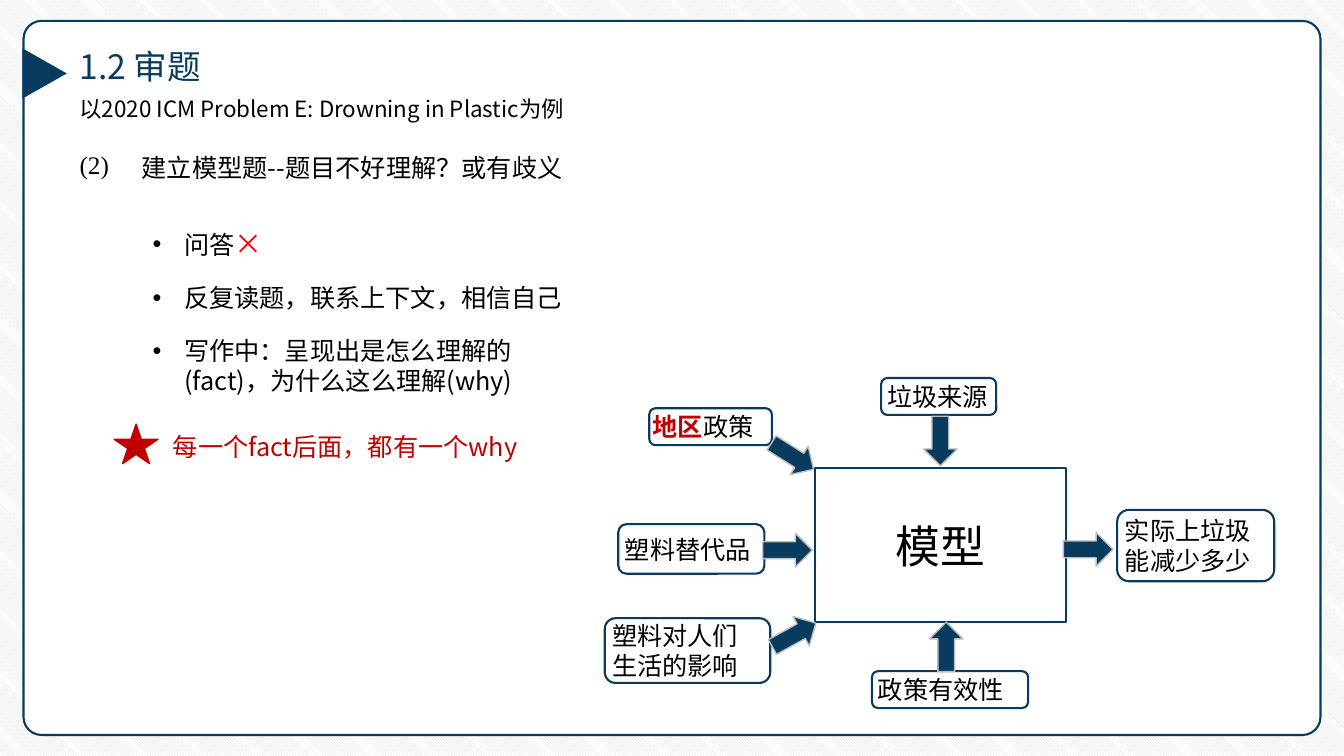
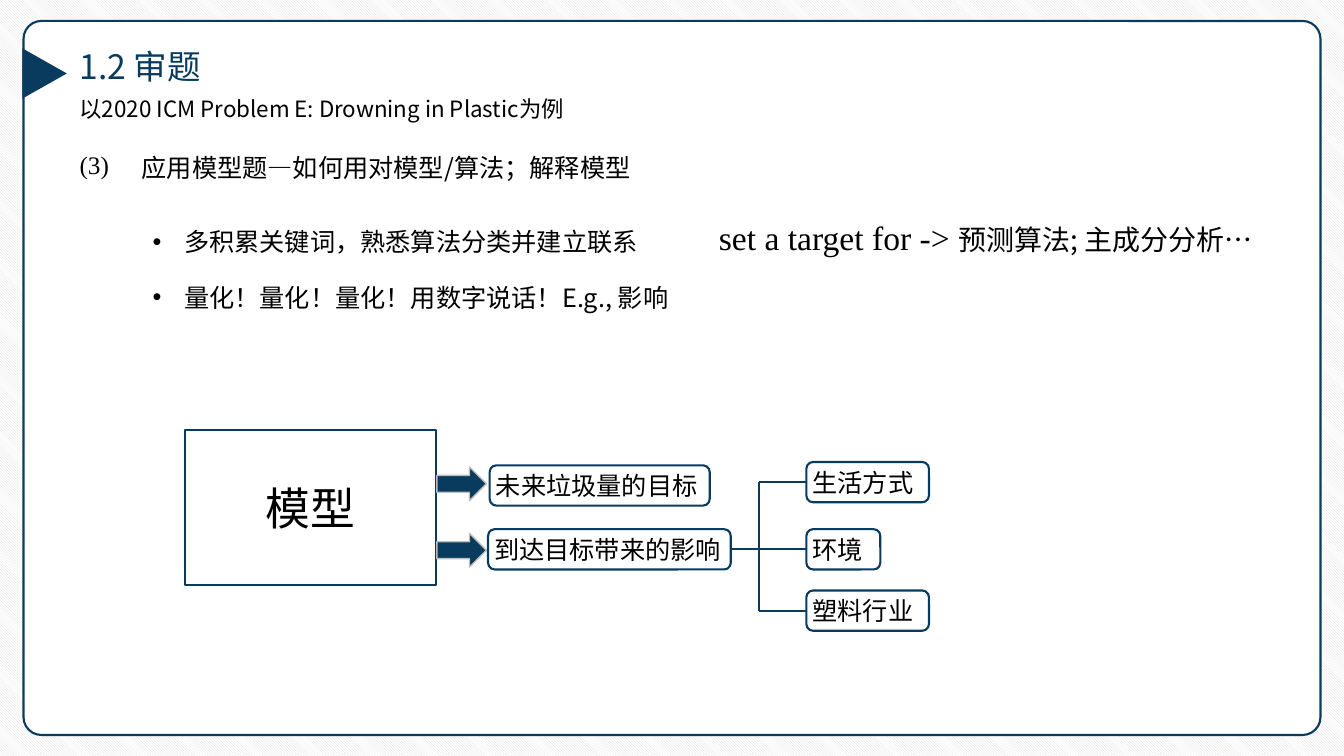
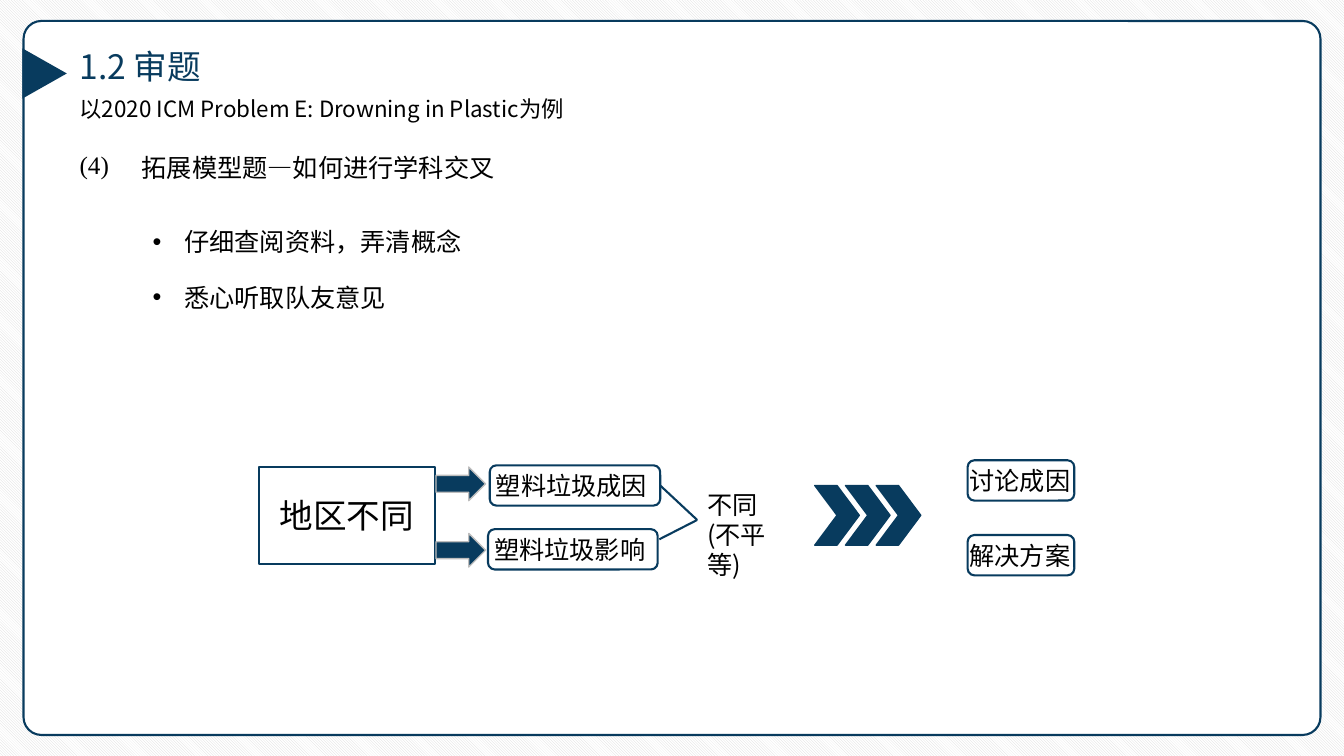
from dataclasses import dataclass
from typing import Any

from lxml.etree import SubElement
from pptx import Presentation
from pptx.dml.color import RGBColor
from pptx.enum.dml import MSO_PATTERN
from pptx.enum.shapes import MSO_CONNECTOR, MSO_SHAPE
from pptx.enum.text import MSO_ANCHOR, MSO_AUTO_SIZE, PP_ALIGN
from pptx.oxml.ns import qn
from pptx.util import Emu, Pt

CELL = 76200
COLUMNS, ROWS = 160, 90
COLORS = {
    "navy": "083B5E",
    "black": "000000",
    "white": "FFFFFF",
    "hatch": "D9D9D9",
    "edge": "BDBDBD",
    "accent": "C00000",
    "cross": "FF0000",
}
SANS, SERIF = "Noto Sans CJK SC", "Times New Roman"
ARROW_WIDTH, ARROW_HEIGHT = 5.9, 4
LABEL_HEIGHT = 4.8
TITLE = "1.2 审题"
SUBTITLE = "以2020 ICM Problem E: Drowning in Plastic为例"


def rgb(name):
    """Return the named colour."""
    return RGBColor.from_string(COLORS[name])


def cells(count):
    """Convert grid cells to a length."""
    return Emu(round(count * CELL))


def set_font(font, size=18, color="black", face=SANS, bold=None):
    """Set a font for Latin and East Asian text alike."""
    font.size, font.name, font.bold = Pt(size), face, bold
    font.color.rgb = rgb(color)
    SubElement(font._element, qn("a:ea"), typeface=face)


def set_bullet(paragraph):
    """Give a paragraph a hanging round bullet."""
    properties = paragraph._p.get_or_add_pPr()
    properties.set("marL", "285750")
    properties.set("indent", "-285750")
    SubElement(properties, qn("a:buFont"), typeface="Arial")
    SubElement(properties, qn("a:buChar"), char="•")


def write(frame, paragraphs, bullets=False, gap=0, spacing=None, align=PP_ALIGN.LEFT, **style):
    """Fill a frame; a paragraph is a string or a list of (text, style) runs."""
    frame.word_wrap = True
    for index, content in enumerate(paragraphs):
        paragraph = frame.paragraphs[0] if index == 0 else frame.add_paragraph()
        paragraph.alignment = align
        if spacing:
            paragraph.line_spacing = spacing
        if gap and index < len(paragraphs) - 1:
            paragraph.space_after = Pt(gap)
        if bullets:
            set_bullet(paragraph)
        if isinstance(content, str):
            paragraph.add_run().text = content
            set_font(paragraph.font, **style)
            continue
        for text, run_style in content:
            run = paragraph.add_run()
            run.text = text
            set_font(run.font, **{**style, **run_style})


@dataclass
class Region:
    """A part of a slide whose contents are placed in cells from its corner."""

    shapes: Any
    left: float = 0
    top: float = 0

    def place(self, x, y):
        """Return the slide position of a point in the region."""
        return cells(self.left + x), cells(self.top + y)

    def shape(self, preset, x, y, width, height, fill=None, line=None, weight=1.5, turn=0):
        """Add a preset shape."""
        shape = self.shapes.add_shape(preset, *self.place(x, y), cells(width), cells(height))
        shape.shadow.inherit = False
        shape.rotation = turn
        if fill:
            shape.fill.solid()
            shape.fill.fore_color.rgb = rgb(fill)
        else:
            shape.fill.background()
        if line:
            shape.line.color.rgb = rgb(line)
            shape.line.width = Pt(weight)
        else:
            shape.line.fill.background()
        return shape

    def text(self, x, y, width, height, *paragraphs, **style):
        """Add a text box that grows with its text."""
        box = self.shapes.add_textbox(*self.place(x, y), cells(width), cells(height))
        write(box.text_frame, paragraphs, **style)
        box.text_frame.auto_size = MSO_AUTO_SIZE.SHAPE_TO_FIT_TEXT

    def node(self, preset, content, x, y, width, height, insets, **style):
        """Add an outlined shape with text inside."""
        node = self.shape(preset, x, y, width, height, line="navy")
        frame = node.text_frame
        frame.margin_left, frame.margin_right = map(cells, insets)
        frame.margin_top = frame.margin_bottom = 0
        frame.vertical_anchor = MSO_ANCHOR.MIDDLE
        write(frame, [content], **style)
        return node

    def label(self, content, x, y, width, height=LABEL_HEIGHT, insets=(0.5, 0)):
        """Add a rounded label."""
        return self.node(MSO_SHAPE.ROUNDED_RECTANGLE, content, x, y, width, height, insets)

    def hub(self, content, x, y, width, height, size):
        """Add the large rectangle a diagram starts from."""
        return self.node(MSO_SHAPE.RECTANGLE, content, x, y, width, height, (0, 0),
                         size=size, align=PP_ALIGN.CENTER)

    def arrow(self, x, y, turn=0):
        """Add a block arrow."""
        self.shape(MSO_SHAPE.RIGHT_ARROW, x, y, ARROW_WIDTH, ARROW_HEIGHT,
                   fill="navy", line="edge", weight=1, turn=turn)

    def line(self, start, end):
        """Add a straight line between two points."""
        line = self.shapes.add_connector(
            MSO_CONNECTOR.STRAIGHT, *self.place(*start), *self.place(*end))
        line.line.color.rgb = rgb("navy")
        line.line.width = Pt(1.5)
        SubElement(line._element.spPr, qn("a:effectLst"))
        return line


def add_page(deck, number, heading):
    """Add a slide with the shared frame, title and numbered heading."""
    slide = deck.slides.add_slide(deck.slide_layouts[6])
    page = Region(slide.shapes)
    frame = page.shape(MSO_SHAPE.ROUNDED_RECTANGLE, 2.8, 2.5, 154.4, 85, "white", "navy")
    frame.adjustments[0] = 0.025
    page.text(8.3, 4.9, 37.3, 6, TITLE, size=24, color="navy")
    page.text(8.3, 9.8, 65.2, 5, SUBTITLE, size=16, spacing=1.3)
    page.shape(MSO_SHAPE.ISOSCELES_TRIANGLE, 2.3, 6.1, 6, 5.3, fill="navy", turn=90)
    page.text(8.3, 17.2, 6.2, 4.8, f"({number})", face=SERIF)
    page.text(15.7, 17.6, 68.2, 4.8, heading)
    return slide.shapes


def add_points(shapes, width, *points, gap=18):
    """Add the bulleted advice below the heading."""
    Region(shapes, 17, 26.4).text(0, 0, width, 12, *points, bullets=True, gap=gap)


def add_key_rule(shapes, left, top):
    """Add the starred rule."""
    rule = Region(shapes, left, top)
    rule.shape(MSO_SHAPE.STAR_5_POINT, 0, 0, 5.2, 4.7, "accent", "accent", 1)
    rule.text(5.8, 0.3, 45.1, 4.8, "每一个fact后面，都有一个why", color="accent")


def add_model_inputs(shapes, left, top):
    """Add the model with its inputs and its output."""
    diagram = Region(shapes, left, top)
    policy = [("地区", {"color": "accent", "bold": True}), ("政策", {})]
    diagram.hub("模型", 25, 10.7, 29.9, 18.4, size=32)
    diagram.label("塑料替代品", 1.6, 17.4, 17.4, 5.9)
    diagram.label("垃圾来源", 32.9, 0, 13.7, 4.4)
    diagram.label("实际上垃圾能减少多少", 61, 15.7, 18.7, 8.5, insets=(0.5, 1))
    diagram.label("塑料对人们生活的影响", 0, 28.6, 19.7, 7.7, insets=(0.5, 1.2))
    diagram.label(policy, 5.3, 3.6, 14.6, 4.4, insets=(0.2, 0))
    diagram.label("政策有效性", 31.8, 34.9, 18.6, 4.4)
    for x, y, turn in [(54.6, 18.4, 0), (37, 5.5, 90), (18.8, 18.5, 0),
                       (37.7, 30, 270), (19.6, 28.6, 331.1), (19.4, 7.3, 32.2)]:
        diagram.arrow(x, y, turn)


def add_model_outputs(shapes, left, top):
    """Add the model with its goals and the tree of effects."""
    diagram = Region(shapes, left, top)
    diagram.hub("模型", 0, 0, 29.9, 18.4, size=32)
    for y in (4.4, 12.3):
        diagram.arrow(30, y)
    diagram.label("未来垃圾量的目标", 36.3, 4.2, 26.2)
    effects = diagram.label("到达目标带来的影响", 36.1, 11.8, 28.9)
    trunk, half = 68.4, LABEL_HEIGHT / 2
    diagram.line((65, 11.8 + half), (trunk, 11.8 + half)).begin_connect(effects, 3)
    diagram.line((trunk, 3.8 + half), (trunk, 19.1 + half))
    for name, y, width in [("生活方式", 3.8, 14.6), ("环境", 11.8, 8.8), ("塑料行业", 19.1, 14.6)]:
        effect = diagram.label(name, 74, y, width)
        diagram.line((trunk, y + half), (74, y + half)).end_connect(effect, 1)


def add_regional_differences(shapes, left, top):
    """Add the chain from regional differences to topics."""
    diagram = Region(shapes, left, top)
    diagram.hub("地区不同", 0, 0.8, 21, 11.5, size=24)
    for y in (0.8, 8.7):
        diagram.arrow(21.1, y)
    causes = diagram.label("塑料垃圾成因", 27.5, 0.6, 20.3)
    diagram.label("塑料垃圾影响", 27.3, 8.2, 20.2)
    meeting = (52.2, 7.1)
    diagram.line((47.8, 3), meeting).begin_connect(causes, 3)
    diagram.line((47.7, 9.4), meeting)
    diagram.text(52.2, 2.8, 13.1, 8.5, "不同", "(不平等)")
    for step in range(3):
        diagram.shape(MSO_SHAPE.CHEVRON, 66.2 + 3.66 * step, 3, 5.3, 7.1, "navy", "navy", 1)
    for topic, y in [("讨论成因", 0), ("解决方案", 8.9)]:
        diagram.label(topic, 84.4, y, 12.7, insets=(0, 0))


def main():
    """Build and save the deck."""
    deck = Presentation()
    deck.slide_width, deck.slide_height = cells(COLUMNS), cells(ROWS)
    backdrop = deck.slide_master.background.fill
    backdrop.patterned()
    backdrop.pattern = MSO_PATTERN.LIGHT_DOWNWARD_DIAGONAL
    backdrop.fore_color.rgb, backdrop.back_color.rgb = rgb("hatch"), rgb("white")

    building = add_page(deck, 2, "建立模型题--题目不好理解？或有歧义")
    add_points(building, 54.2, [("问答", {}), ("×", {"size": 20, "color": "cross"})],
               "反复读题，联系上下文，相信自己",
               "写作中：呈现出是怎么理解的(fact)，为什么这么理解(why)", gap=16)
    add_key_rule(building, 13.6, 50.5)
    add_model_inputs(building, 72, 45)

    applying = add_page(deck, 3, "应用模型题—如何用对模型/算法；解释模型")
    add_points(applying, 65, "多积累关键词，熟悉算法分类并建立联系",
               "量化！量化！量化！用数字说话！E.g., 影响")
    Region(applying, 84.4, 25.2).text(
        0, 0, 66.6, 6,
        [("set a target for -> ", {"size": 24, "face": SERIF}),
         ("预测算法; 主成分分析…", {"size": 20})])
    add_model_outputs(applying, 22, 51.2)

    extending = add_page(deck, 4, "拓展模型题—如何进行学科交叉")
    add_points(extending, 56.5, "仔细查阅资料，弄清概念", "悉心听取队友意见")
    add_regional_differences(extending, 30.8, 54.8)

    deck.save("out.pptx")


if __name__ == "__main__":
    main()
